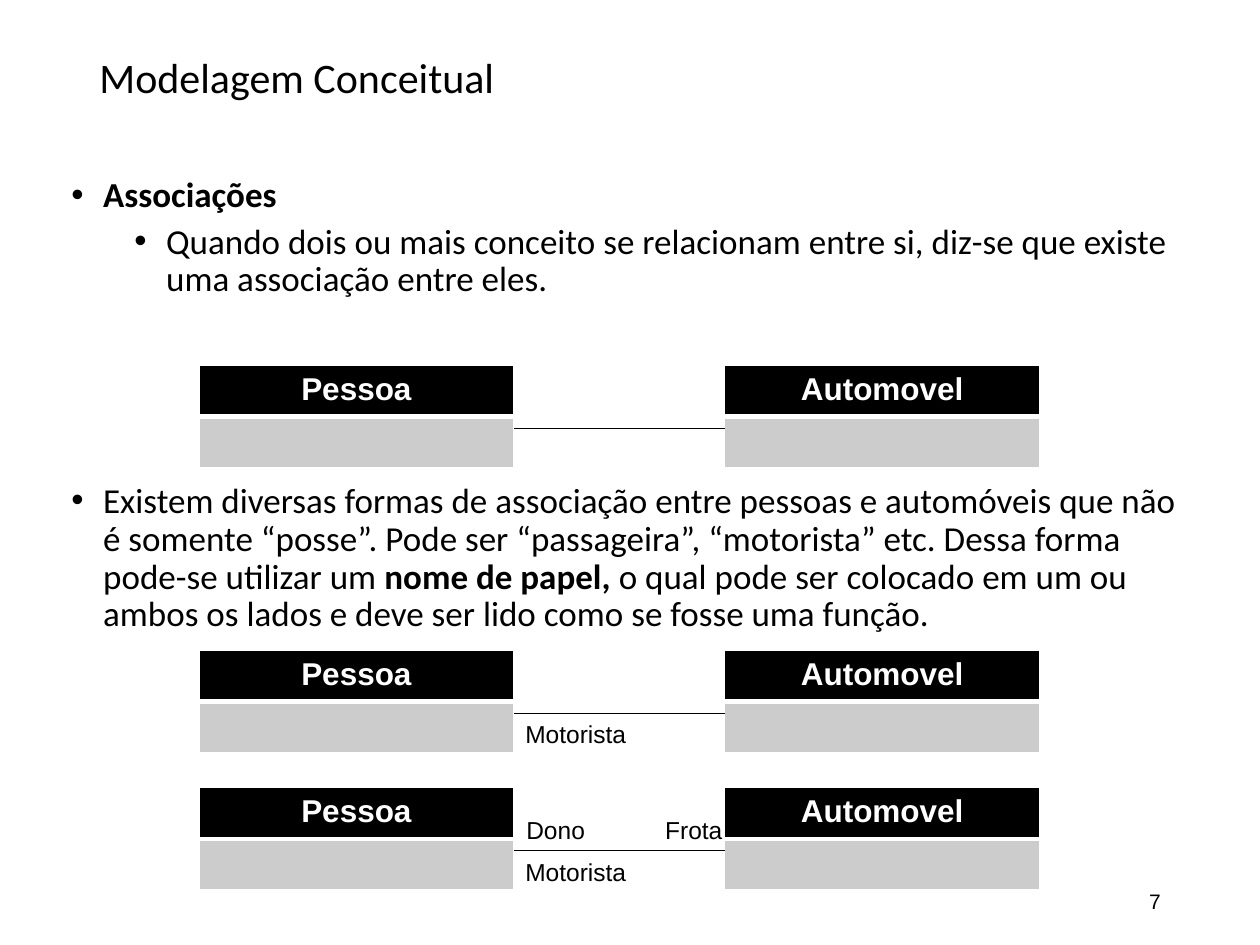
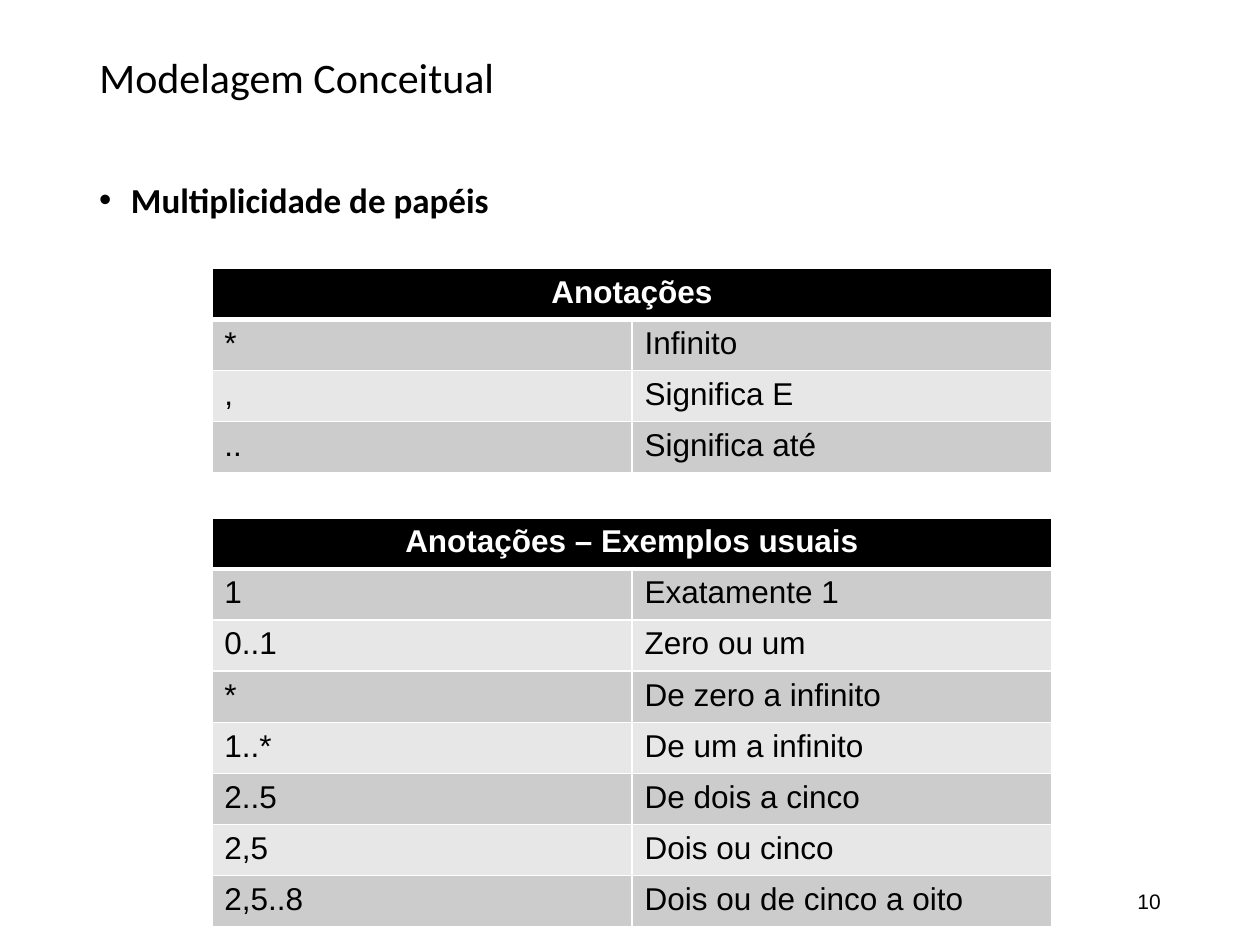
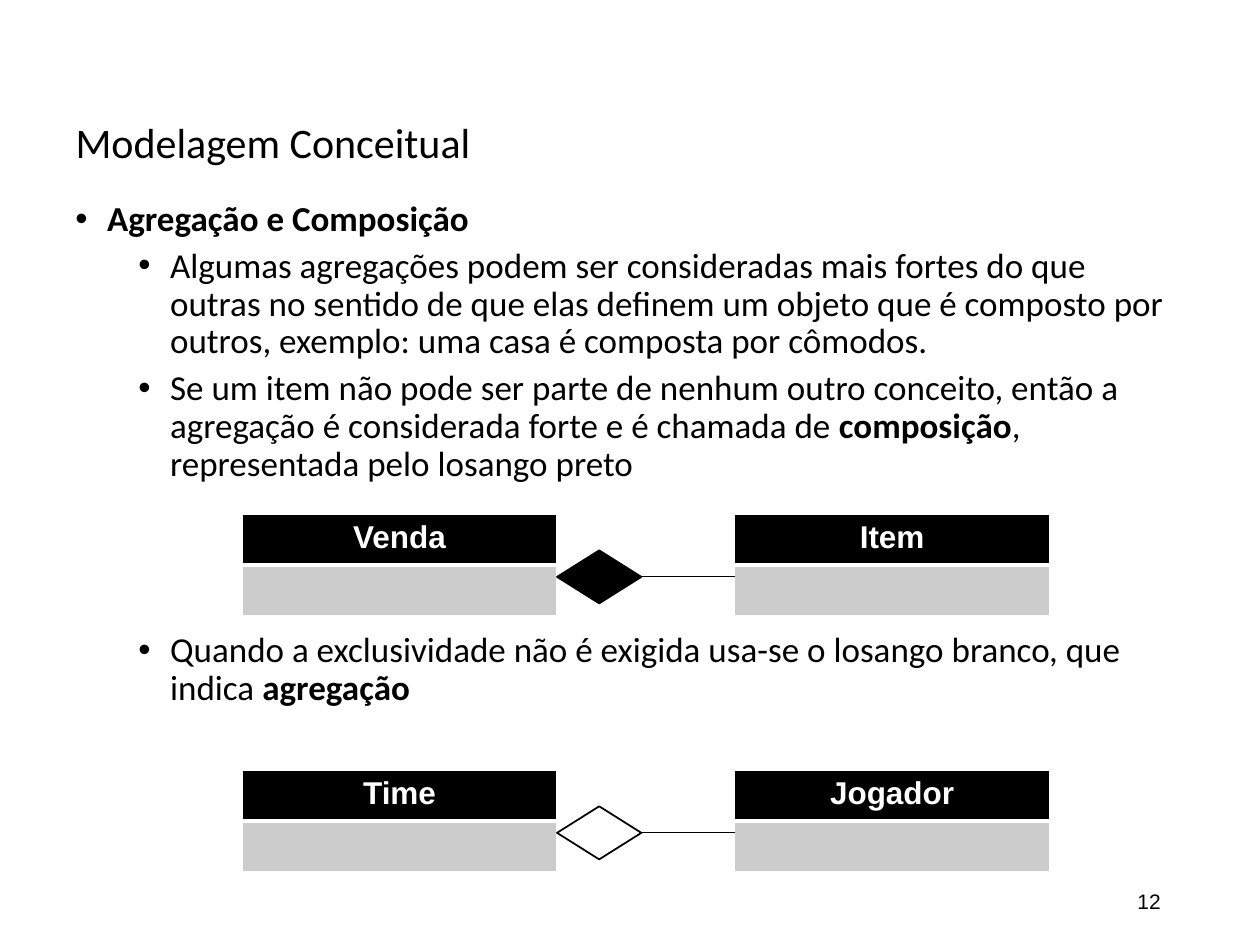
from dataclasses import dataclass

from lxml.etree import SubElement
from pptx import Presentation
from pptx.dml.color import RGBColor
from pptx.enum.shapes import MSO_CONNECTOR, MSO_SHAPE
from pptx.enum.text import MSO_ANCHOR, MSO_AUTO_SIZE, PP_ALIGN
from pptx.oxml.ns import qn
from pptx.util import Cm, Pt

BLACK = "000000"
WHITE = "FFFFFF"
DARK_BAND = "CCCCCC"
LIGHT_BAND = "E7E7E7"
HEADING_FONT = "Calibri"
LABEL_FONT = "Arial"
ROW_HEIGHT = 1.03
CONCEPT_WIDTH = 6.35
LINK_DROP = 1.27
DIAMOND_WIDTH = 1.7
DIAMOND_HEIGHT = 1.07


@dataclass
class Box:
    left: float
    top: float
    width: float
    height: float

    def lengths(self) -> tuple:
        return Cm(self.left), Cm(self.top), Cm(self.width), Cm(self.height)


@dataclass
class Bullet:
    text: str
    level: int = 0
    gap: float = 10


@dataclass
class Role:
    name: str
    left: float
    rise: float
    width: float


@dataclass
class Association:
    source: str
    target: str
    source_left: float
    target_left: float
    top: float
    roles: tuple = ()
    diamond: str = ""


def rgb(color: str) -> RGBColor:
    return RGBColor.from_string(color)


def style(paragraph, size: float, font: str, color: str = BLACK) -> None:
    paragraph.font.size = Pt(size)
    paragraph.font.name = font
    paragraph.font.color.rgb = rgb(color)


def add_title(slide, box: Box) -> None:
    title = slide.shapes.title
    title.left, title.top, title.width, title.height = box.lengths()
    frame = title.text_frame
    frame.text = "Modelagem Conceitual"
    frame.auto_size = MSO_AUTO_SIZE.NONE
    frame.vertical_anchor = MSO_ANCHOR.TOP
    heading = frame.paragraphs[0]
    heading.alignment = PP_ALIGN.LEFT
    heading.line_spacing = 0.9
    style(heading, 24, HEADING_FONT)


def add_bullets(slide, box: Box, bullets: list[Bullet]) -> None:
    frame = slide.shapes.add_textbox(*box.lengths()).text_frame
    frame.word_wrap = True
    for index, bullet in enumerate(bullets):
        paragraph = frame.add_paragraph() if index else frame.paragraphs[0]
        paragraph.level = bullet.level
        paragraph.line_spacing = 0.9
        paragraph.space_before = Pt(bullet.gap)
        properties = paragraph._p.get_or_add_pPr()
        properties.set("marL", str(Cm(0.64 + 1.27 * bullet.level)))
        properties.set("indent", str(-Cm(0.64)))
        SubElement(properties, qn("a:buFont"), typeface=LABEL_FONT)
        SubElement(properties, qn("a:buChar"), char="•")
        style(paragraph, 20, HEADING_FONT)
        for position, part in enumerate(bullet.text.split("**")):
            if part:
                run = paragraph.add_run()
                run.text = part
                run.font.bold = position % 2 == 1


def add_label(slide, box: Box, text: str, size: float):
    frame = slide.shapes.add_textbox(*box.lengths()).text_frame
    frame.word_wrap = False
    frame.text = text
    style(frame.paragraphs[0], size, LABEL_FONT)
    return frame


def add_page_number(slide, number: int) -> None:
    frame = add_label(slide, Box(17.93, 17.65, 5.72, 1.02), str(number), 12)
    frame.word_wrap = True
    frame.vertical_anchor = MSO_ANCHOR.MIDDLE
    frame.paragraphs[0].alignment = PP_ALIGN.RIGHT


def add_borders(cell, top: float, bottom: float) -> None:
    properties = cell._tc.get_or_add_tcPr()
    for side, width in (("L", 1), ("R", 1), ("T", top), ("B", bottom)):
        border = SubElement(properties, qn(f"a:ln{side}"), w=str(Pt(width)))
        fill = SubElement(border, qn("a:solidFill"))
        SubElement(fill, qn("a:srgbClr"), val=WHITE)


def add_grid(slide, left: float, top: float, column_width: float,
             heading: str, rows: list[tuple]) -> None:
    columns = len(rows[0])
    box = Box(left, top, column_width * columns, ROW_HEIGHT * (len(rows) + 1))
    table = slide.shapes.add_table(len(rows) + 1, columns, *box.lengths()).table
    contents = [(heading,) + ("",) * (columns - 1)] + rows
    for row, texts in enumerate(contents):
        header = row == 0
        band = DARK_BAND if row % 2 else LIGHT_BAND
        for column, text in enumerate(texts):
            cell = table.cell(row, column)
            add_borders(cell, 3 if row == 1 else 1, 3 if header else 1)
            cell.fill.solid()
            cell.fill.fore_color.rgb = rgb(BLACK if header else band)
            cell.text = text
            paragraph = cell.text_frame.paragraphs[0]
            style(paragraph, 18, LABEL_FONT, WHITE if header else BLACK)
            paragraph.font.bold = header
            paragraph.alignment = PP_ALIGN.CENTER if header else PP_ALIGN.LEFT
    if columns > 1:
        table.cell(0, 0).merge(table.cell(0, columns - 1))


def add_association(slide, association: Association) -> None:
    for name, left in ((association.source, association.source_left),
                       (association.target, association.target_left)):
        add_grid(slide, left, association.top, CONCEPT_WIDTH, name, [("",)])
    start = association.source_left + CONCEPT_WIDTH
    level = association.top + LINK_DROP
    link = slide.shapes.add_connector(
        MSO_CONNECTOR.STRAIGHT, Cm(start), Cm(level),
        Cm(association.target_left), Cm(level))
    link.line.color.rgb = rgb(BLACK)
    link.line.width = Pt(0.5)
    SubElement(link._element.spPr, qn("a:effectLst"))
    if association.diamond:
        box = Box(start, level - DIAMOND_HEIGHT / 2, DIAMOND_WIDTH, DIAMOND_HEIGHT)
        diamond = slide.shapes.add_shape(MSO_SHAPE.FLOWCHART_DECISION, *box.lengths())
        diamond.shadow.inherit = False
        diamond.fill.solid()
        diamond.fill.fore_color.rgb = rgb(association.diamond)
        diamond.line.color.rgb = rgb(BLACK)
        diamond.line.width = Pt(1)
    for role in association.roles:
        add_label(slide, Box(role.left, level - role.rise, role.width, 0.86), role.name, 14)


def add_page(deck, number: int, title_box: Box, body_box: Box, bullets: list[Bullet]):
    slide = deck.slides.add_slide(deck.slide_layouts[5])
    add_title(slide, title_box)
    add_bullets(slide, body_box, bullets)
    add_page_number(slide, number)
    return slide


deck = Presentation()
deck.slide_width = Cm(25.4)
deck.slide_height = Cm(19.05)

associations = add_page(
    deck, 7, Box(1.75, 1.02, 21.9, 3.68), Box(1.19, 3.45, 22.86, 12.57),
    [
        Bullet("**Associações**"),
        Bullet("Quando dois ou mais conceito se relacionam entre si, diz-se que "
               "existe uma associação entre eles.", 1, 5),
        Bullet("Existem diversas formas de associação entre pessoas e automóveis "
               "que não é somente “posse”. Pode ser “passageira”, “motorista” etc. "
               "Dessa forma pode-se utilizar um **nome de papel, **o qual pode ser "
               "colocado em um ou ambos os lados e deve ser lido como se fosse "
               "uma função.", 0, 105),
    ])
driver = Role("Motorista", 10.34, 0, 2.57)
owner = Role("Dono", 10.36, 0.84, 1.7)
fleet = Role("Frota", 13.16, 0.84, 1.68)
for top, roles in ((7.37, ()), (13.11, (driver,)), (15.88, (driver, owner, fleet))):
    add_association(associations, Association(
        "Pessoa", "Automovel", 4.01, 14.61, top, roles))

multiplicity = add_page(
    deck, 10, Box(1.75, 1.02, 21.9, 2.54), Box(1.75, 3.56, 21.9, 13.59),
    [Bullet("**Multiplicidade de papéis**")])
add_grid(multiplicity, 4.27, 5.41, 8.47, "Anotações", [
    ("*", "Infinito"),
    (",", "Significa E"),
    ("..", "Significa até"),
])
add_grid(multiplicity, 4.27, 10.44, 8.47, "Anotações – Exemplos usuais", [
    ("1", "Exatamente 1"),
    ("0..1", "Zero ou um"),
    ("*", "De zero a infinito"),
    ("1..*", "De um a infinito"),
    ("2..5", "De dois a cinco"),
    ("2,5", "Dois ou cinco"),
    ("2,5..8", "Dois ou de cinco a oito"),
])

composition = add_page(
    deck, 12, Box(1.27, 2.34, 22.86, 1.6), Box(1.27, 3.94, 22.86, 13.08),
    [
        Bullet("**Agregação e Composição**"),
        Bullet("Algumas agregações podem ser consideradas mais fortes do que outras "
               "no sentido de que elas definem um objeto que é composto por outros, "
               "exemplo: uma casa é composta por cômodos.", 1, 5),
        Bullet("Se um item não pode ser parte de nenhum outro conceito, então a "
               "agregação é considerada forte e é chamada de **composição**, "
               "representada pelo losango preto", 1, 5),
        Bullet("Quando a exclusividade não é exigida usa-se o losango branco, que "
               "indica **agregação**", 1, 85),
    ])
for source, target, top, diamond in (("Venda", "Item", 10.36, BLACK),
                                     ("Time", "Jogador", 15.52, WHITE)):
    add_association(composition, Association(
        source, target, 4.88, 14.81, top, diamond=diamond))

deck.save("out.pptx")
